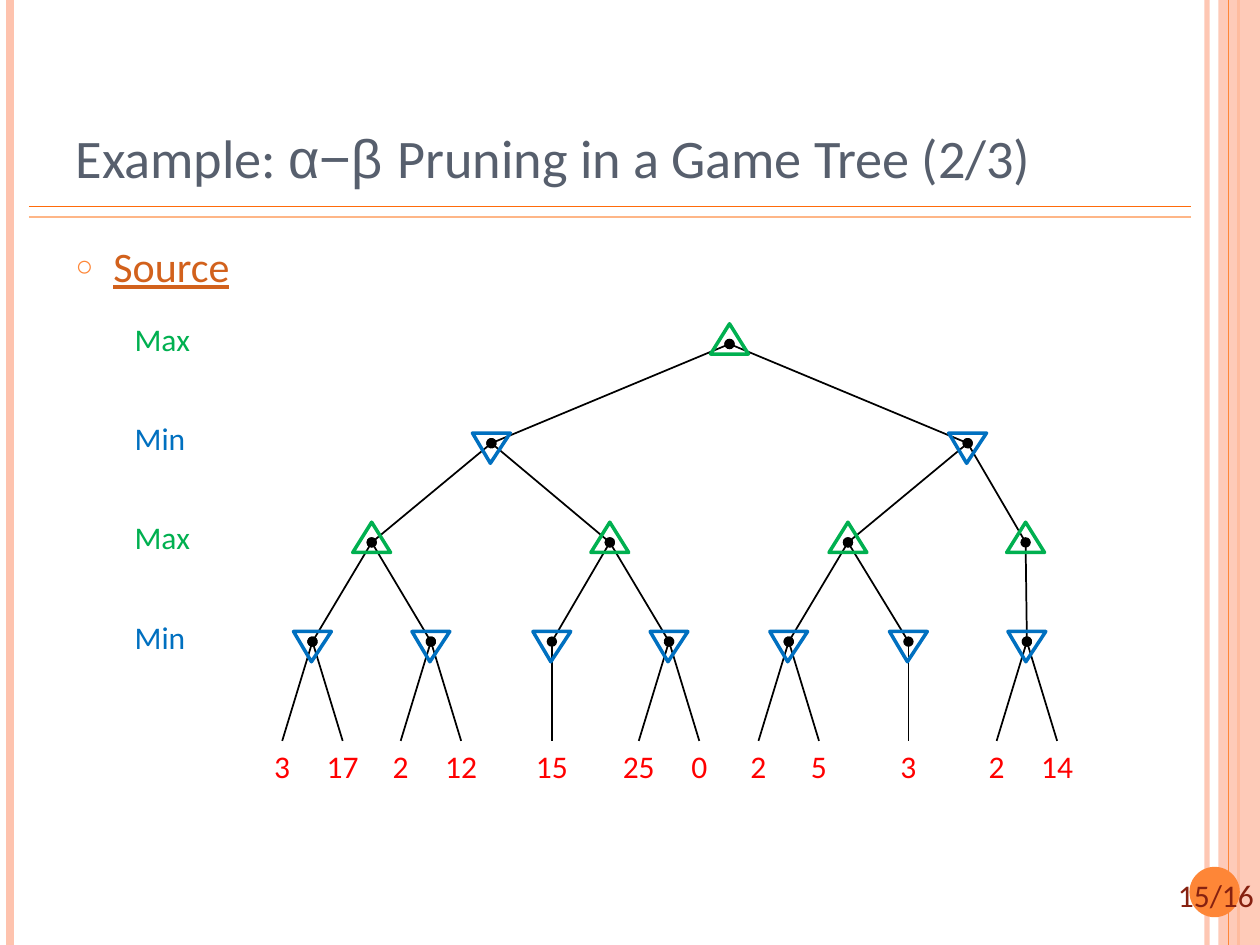
from dataclasses import dataclass

from lxml import etree
from pptx import Presentation
from pptx import util as u
from pptx.dml.color import RGBColor
from pptx.enum import shapes, text
from pptx.oxml.ns import qn

FONT = "Calibri"
GREEN, BLUE, RED, BLACK = "00B050", "0070C0", "FF0000", "000000"
ORANGE, PINK = "FE8637", "FEC3AE"
TOP, LEVEL_GAP = 2.73, 0.7875
LEAF_OFFSET = 0.24


@dataclass
class Node:
    x: float
    children: tuple = ()
    leaves: tuple = ()


GAME_TREE = Node(5.79, (
    Node(3.9, (
        Node(2.95, (Node(2.48, leaves=("3", "17")), Node(3.42, leaves=("2", "12")))),
        Node(4.84, (Node(4.38, leaves=("15",)), Node(5.31, leaves=("25", "0")))),
    )),
    Node(7.68, (
        Node(6.73, (Node(6.26, leaves=("2", "5")), Node(7.21, leaves=("3",)))),
        Node(8.14, (Node(8.15, leaves=("2", "14")),)),
    )),
))


def rgb(value):
    return RGBColor.from_string(value)


def set_alpha(fill, percent):
    color = fill._xPr.find(qn("a:solidFill"))[0]
    etree.SubElement(color, qn("a:alpha"), val=str(percent * 1000))


def level_y(level):
    return TOP + level * LEVEL_GAP


class Canvas:
    """Holds the style and the current slide."""

    def __init__(self, slide):
        self.slide = slide

    def place(self, shape, left, top, width, height):
        shape.left, shape.top = u.Inches(left), u.Inches(top)
        shape.width, shape.height = u.Inches(width), u.Inches(height)

    def run(self, paragraph, content, size, color, font=FONT):
        run = paragraph.add_run()
        run.text = content
        run.font.name, run.font.size = font, u.Pt(size)
        run.font.color.rgb = rgb(color)
        return run

    def title(self, runs, size, color):
        shape = self.slide.shapes.title
        self.place(shape, 0.5, 0.3, 8.17, 1.25)
        frame = shape.text_frame
        frame.auto_size = text.MSO_AUTO_SIZE.NONE
        frame.vertical_anchor = text.MSO_ANCHOR.BOTTOM
        paragraph = frame.paragraphs[0]
        paragraph.alignment = text.PP_ALIGN.LEFT
        for content, font in runs:
            self.run(paragraph, content, size, color, font)

    def body(self, content, size, color):
        shape = self.slide.placeholders[1]
        self.place(shape, 0.5, 1.86, 8.17, 5.21)
        shape.text_frame.auto_size = text.MSO_AUTO_SIZE.NONE
        paragraph = shape.text_frame.paragraphs[0]
        paragraph.space_before = u.Pt(6)
        self.run(paragraph, content, size, color).font.underline = True
        properties = paragraph._p.get_or_add_pPr()
        properties.set("marL", str(u.Inches(0.3)))
        properties.set("indent", str(u.Inches(-0.3)))
        bullet_color = etree.SubElement(properties, qn("a:buClr"))
        etree.SubElement(bullet_color, qn("a:srgbClr"), val=ORANGE)
        etree.SubElement(properties, qn("a:buSzPct"), val="70000")
        etree.SubElement(properties, qn("a:buChar"), char="○")

    def label(self, content, left, top, width, color, centered=False, wrap=False):
        box = self.slide.shapes.add_textbox(
            u.Inches(left), u.Inches(top), u.Inches(width), u.Inches(0.4))
        frame = box.text_frame
        frame.word_wrap = wrap
        frame.auto_size = text.MSO_AUTO_SIZE.SHAPE_TO_FIT_TEXT
        paragraph = frame.paragraphs[0]
        paragraph.alignment = text.PP_ALIGN.CENTER if centered else text.PP_ALIGN.LEFT
        self.run(paragraph, content, 18, color)

    def line(self, x1, y1, x2, y2, color, weight, alpha=None, dot=False):
        connector = self.slide.shapes.add_connector(
            shapes.MSO_CONNECTOR.STRAIGHT,
            u.Inches(x1), u.Inches(y1), u.Inches(x2), u.Inches(y2))
        connector.line.color.rgb = rgb(color)
        connector.line.width = u.Pt(weight)
        if alpha:
            set_alpha(connector.line.fill, alpha)
        if dot:
            etree.SubElement(connector.line._get_or_add_ln(), qn("a:headEnd"), type="oval")
        etree.SubElement(connector._element.spPr, qn("a:effectLst"))

    def shape(self, kind, left, top, width, height):
        shape = self.slide.shapes.add_shape(
            kind, u.Inches(left), u.Inches(top), u.Inches(width), u.Inches(height))
        shape.shadow.inherit = False
        return shape

    def filled(self, kind, left, top, width, height, color, alpha=None):
        shape = self.shape(kind, left, top, width, height)
        shape.fill.solid()
        shape.fill.fore_color.rgb = rgb(color)
        shape.line.fill.background()
        if alpha:
            set_alpha(shape.fill, alpha)

    def triangle(self, x, y, maximizing):
        top = y - (0.16 if maximizing else 0.08)
        shape = self.shape(shapes.MSO_SHAPE.ISOSCELES_TRIANGLE, x - 0.15, top, 0.3, 0.24)
        shape.fill.background()
        shape.line.color.rgb = rgb(GREEN if maximizing else BLUE)
        shape.line.width = u.Pt(2)
        if not maximizing:
            shape.adjustments[0] = 0.475
            shape._element.spPr.xfrm.set("flipV", "1")

    def branches(self, node, level=0):
        """Draw the edges below a node, children first, and the leaf values."""
        y, next_y = level_y(level), level_y(level + 1)
        for child in node.children:
            self.branches(child, level + 1)
            self.line(node.x, y, child.x, next_y, BLACK, 1, dot=True)
        for index, value in enumerate(node.leaves):
            x = node.x + LEAF_OFFSET * (2 * index - len(node.leaves) + 1)
            self.line(node.x, y, x, next_y, BLACK, 1, dot=True)
            width = 0.33 if len(value) == 1 else 0.46
            self.label(value, x - width / 2, next_y, width, RED, centered=True)

    def markers(self, node, level=0):
        self.triangle(node.x, level_y(level), level % 2 == 0)
        for child in node.children:
            self.markers(child, level + 1)

    def frame(self):
        """Draw the side bands, the title rules and the page number."""
        self.line(9.58, 0, 9.58, 7.5, PINK, 3, alpha=93)
        self.line(0.08, 0, 0.08, 7.5, PINK, 4.5)
        self.line(9.83, 0, 9.83, 7.5, ORANGE, 1.5)
        self.filled(shapes.MSO_SHAPE.RECTANGLE, 9.67, 0, 0.33, 7.5, PINK, alpha=87)
        self.line(9.75, 0, 9.75, 7.5, ORANGE, 0.75)
        self.line(0.23, 1.64, 9.45, 1.64, "FF6B0A", 1)
        self.line(0.23, 1.72, 9.45, 1.72, "FEB687", 1)
        self.filled(shapes.MSO_SHAPE.OVAL, 9.44, 6.88, 0.4, 0.4, ORANGE)
        self.label("15/16", 9.25, 6.9, 0.91, "862110", wrap=True)


def main():
    presentation = Presentation()
    presentation.slide_width, presentation.slide_height = u.Inches(10), u.Inches(7.5)
    canvas = Canvas(presentation.slides.add_slide(presentation.slide_layouts[1]))
    canvas.frame()
    canvas.title([("Example: ", FONT), ("α−β ", "Arial"),
                  ("Pruning in a Game Tree (2/3)", FONT)], 31, "575F6D")
    canvas.body("Source", 24, "D2611C")
    canvas.branches(GAME_TREE)
    for level, player in enumerate(("Max", "Min") * 2):
        width, color = (0.64, GREEN) if player == "Max" else (0.61, BLUE)
        canvas.label(player, 0.97, level_y(level) - 0.24, width, color)
    canvas.markers(GAME_TREE)
    presentation.save("out.pptx")


if __name__ == "__main__":
    main()
